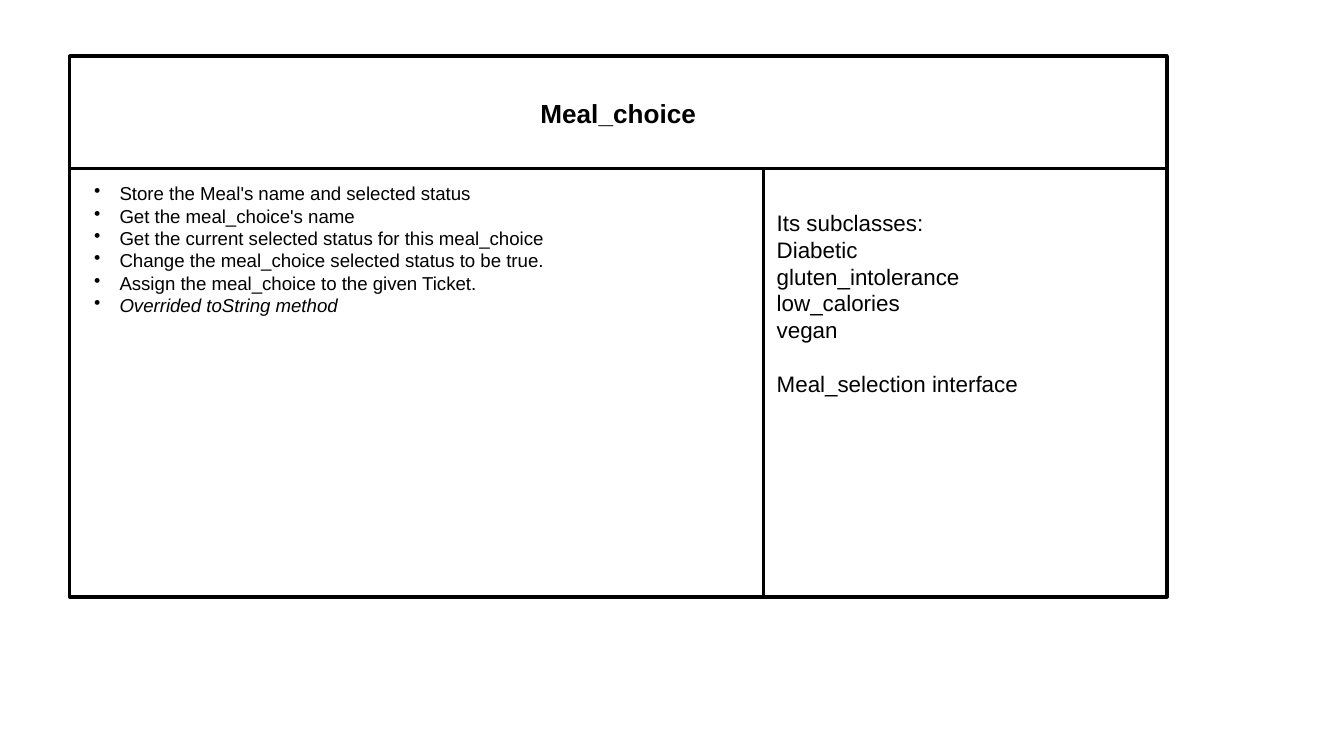
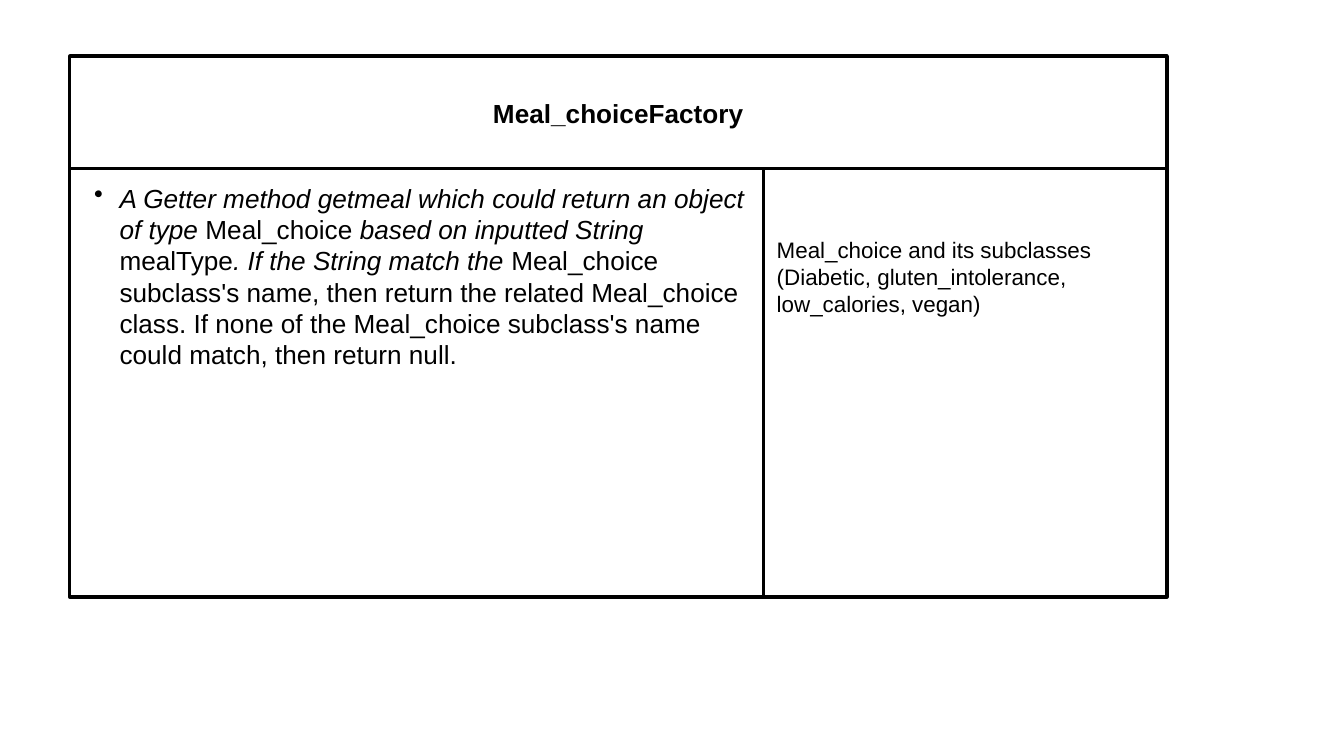
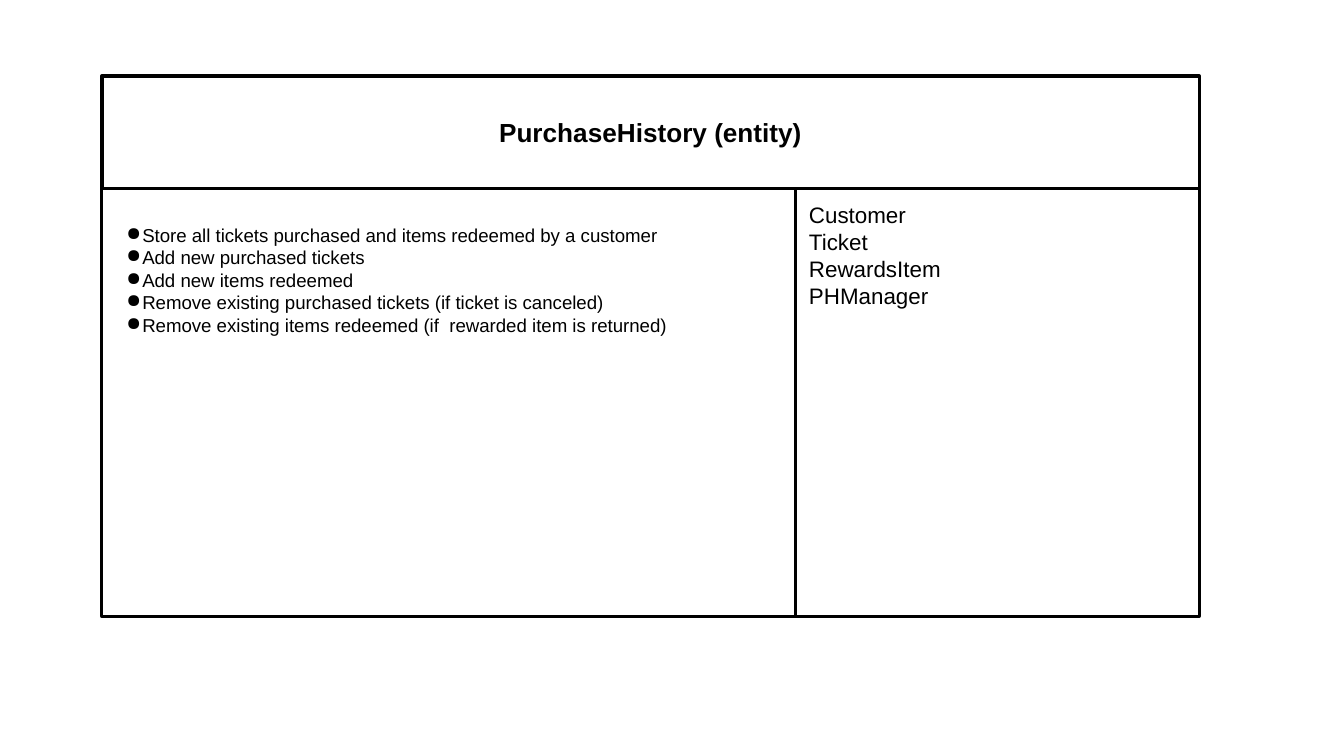
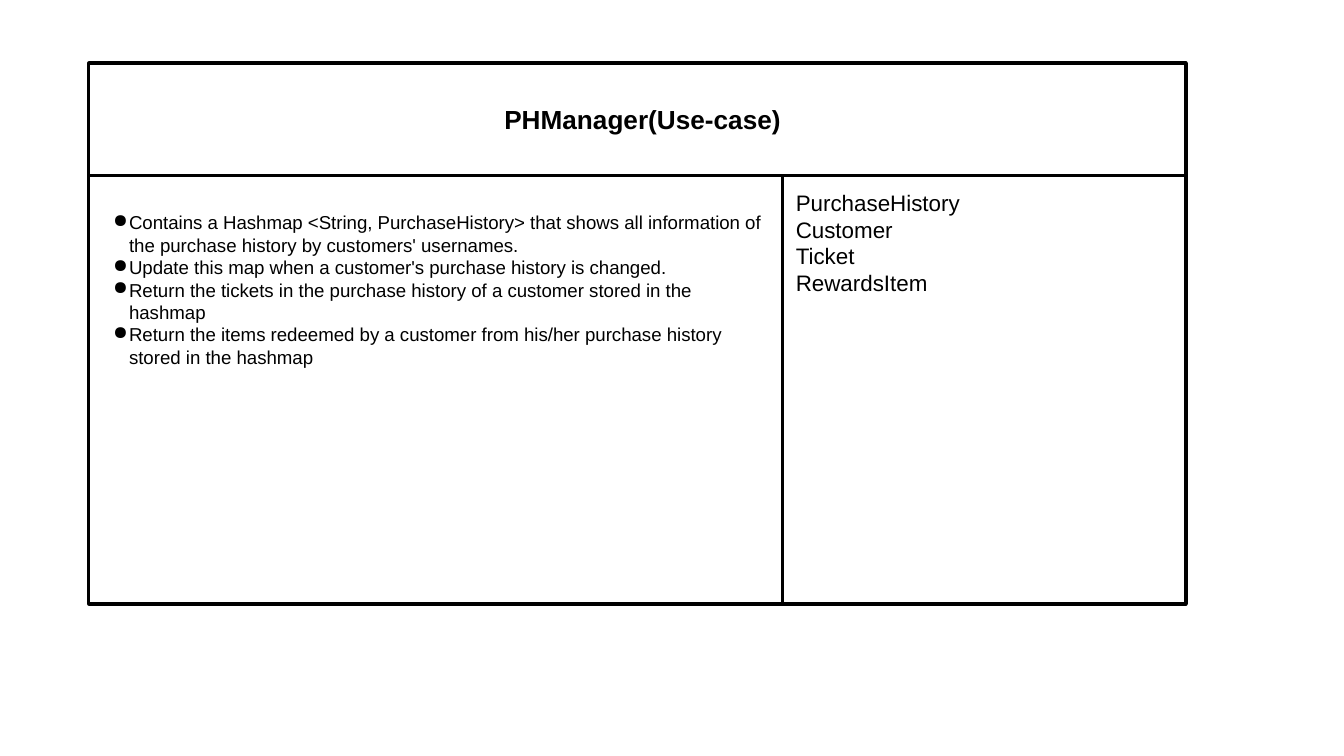
from dataclasses import dataclass

from lxml.etree import SubElement
from pptx import Presentation
from pptx.dml.color import RGBColor
from pptx.enum.shapes import MSO_SHAPE
from pptx.enum.text import MSO_ANCHOR, MSO_AUTO_SIZE, PP_ALIGN
from pptx.oxml.ns import qn
from pptx.util import Cm, Pt

COLORS = {"ink": "000000", "paper": "FFFFFF"}
FONT = "Arial"
CARD_WIDTH, HEADER_HEIGHT, BODY_HEIGHT = 20.73, 2.12, 8.09
DUTIES_WIDTH = 13.11
INSET = 0.25
LINE_10, LINE_12 = 0.42, 0.51


@dataclass(frozen=True)
class Run:
    text: str
    italic: bool = False


@dataclass(frozen=True)
class Bullet:
    char: str
    margin: float
    hanging: float


@dataclass(frozen=True)
class Item:
    runs: tuple[Run, ...]
    space_before: float = 0


@dataclass(frozen=True)
class Column:
    items: tuple[Item, ...]
    size: float = 12
    bullet: Bullet | None = None
    top_gap: float = 0


@dataclass(frozen=True)
class Card:
    left: float
    top: float
    title: str
    duties: Column
    partners: Column
    title_margin: float = 0


def items(*texts: str) -> tuple[Item, ...]:
    return tuple(Item((Run(text),)) for text in texts)


SMALL_DOT = Bullet("•", 0.69, 0.48)
LARGE_DOT = Bullet("●", 0.51, 0.3)

CARDS = (
    Card(
        1.32, 1.07, "Meal_choice",
        Column(
            items(
                "Store the Meal's name and selected status",
                "Get the meal_choice's name",
                "Get the current selected status for this meal_choice",
                "Change the meal_choice selected status to be true.",
                "Assign the meal_choice to the given Ticket.",
            ) + (Item((Run("Overrided toString method", True),)),),
            10, SMALL_DOT,
        ),
        Column(
            items("Its subclasses:", "Diabetic", "gluten_intolerance", "low_calories", "vegan")
            + (Item((Run("Meal_selection interface"),), LINE_12),),
            top_gap=LINE_12,
        ),
    ),
    Card(
        1.32, 1.07, "Meal_choiceFactory",
        Column(
            (Item((
                Run("A Getter method getmeal which could return an object of type ", True),
                Run("Meal_choice "),
                Run("based on inputted String ", True),
                Run("mealType"),
                Run(". If the String match the ", True),
                Run("Meal_choice subclass's name, then return the related Meal_choice class. "
                    "If none of the Meal_choice subclass's name could match, then return null."),
            )),),
            14, SMALL_DOT,
        ),
        Column(
            items("Meal_choice and its subclasses (Diabetic, gluten_intolerance,",
                  "low_calories, vegan)"),
            top_gap=2 * LINE_12,
        ),
    ),
    Card(
        1.93, 1.44, "PurchaseHistory (entity)",
        Column(
            items(
                "Store all tickets purchased and items redeemed by a customer",
                "Add new purchased tickets",
                "Add new items redeemed",
                "Remove existing purchased tickets (if ticket is canceled)",
                "Remove existing items redeemed (if  rewarded item is returned)",
            ),
            10, LARGE_DOT, LINE_10,
        ),
        Column(items("Customer", "Ticket", "RewardsItem", "PHManager")),
    ),
    Card(
        1.68, 1.2, "PHManager(Use-case)",
        Column(
            items(
                "Contains a Hashmap <String, PurchaseHistory> that shows all information of "
                "the purchase history by customers' usernames.",
                "Update this map when a customer's purchase history is changed.",
                "Return the tickets in the purchase history of a customer stored in the hashmap",
                "Return the items redeemed by a customer from his/her purchase history "
                "stored in the hashmap",
            ),
            10, LARGE_DOT, LINE_10,
        ),
        Column(items("PurchaseHistory", "Customer", "Ticket", "RewardsItem")),
        0.2,
    ),
)


def color(name: str) -> RGBColor:
    return RGBColor.from_string(COLORS[name])


def style_box(shape, line_width: float, top_gap: float = 0) -> None:
    shape.fill.solid()
    shape.fill.fore_color.rgb = color("paper")
    shape.line.color.rgb = color("ink")
    shape.line.width = Pt(line_width)
    frame = shape.text_frame
    frame.word_wrap = True
    frame.auto_size = MSO_AUTO_SIZE.NONE
    frame.margin_left = frame.margin_right = frame.margin_bottom = Cm(INSET)
    frame.margin_top = Cm(INSET + top_gap)


def add_box(slide, left: float, top: float, width: float, height: float,
            line_width: float = 1.5, top_gap: float = 0):
    shape = slide.shapes.add_shape(
        MSO_SHAPE.RECTANGLE, Cm(left), Cm(top), Cm(width), Cm(height))
    shape.shadow.inherit = False
    style_box(shape, line_width, top_gap)
    return shape


def style_font(paragraph, size: float, bold: bool = False) -> None:
    font = paragraph.font
    font.name, font.size, font.bold = FONT, Pt(size), bold
    font.color.rgb = color("ink")


def add_bullet(paragraph, bullet: Bullet) -> None:
    properties = paragraph._p.get_or_add_pPr()
    properties.set("marL", str(Cm(bullet.margin)))
    properties.set("indent", str(-Cm(bullet.hanging)))
    bullet_color = SubElement(properties, qn("a:buClr"))
    SubElement(bullet_color, qn("a:srgbClr"), val=COLORS["ink"])
    SubElement(properties, qn("a:buChar"), char=bullet.char)


def add_column(slide, column: Column, left: float, top: float, width: float) -> None:
    shape = add_box(slide, left, top, width, BODY_HEIGHT, top_gap=column.top_gap)
    frame = shape.text_frame
    frame.vertical_anchor = MSO_ANCHOR.TOP
    for index, item in enumerate(column.items):
        paragraph = frame.add_paragraph() if index else frame.paragraphs[0]
        paragraph.alignment = PP_ALIGN.LEFT
        if item.space_before:
            paragraph.space_before = Cm(item.space_before)
        if column.bullet:
            add_bullet(paragraph, column.bullet)
        style_font(paragraph, column.size)
        for part in item.runs:
            run = paragraph.add_run()
            run.text = part.text
            if len(item.runs) > 1:
                run.font.italic = part.italic
        if len(item.runs) == 1:
            paragraph.font.italic = item.runs[0].italic


def place_title(slide, card: Card) -> None:
    title = slide.shapes.title
    title.left, title.top = Cm(card.left), Cm(card.top)
    title.width, title.height = Cm(CARD_WIDTH), Cm(HEADER_HEIGHT)
    style_box(title, 1.5)
    title.text_frame.vertical_anchor = MSO_ANCHOR.MIDDLE
    title.text_frame.text = card.title
    paragraph = title.text_frame.paragraphs[0]
    paragraph.alignment = PP_ALIGN.CENTER
    if card.title_margin:
        paragraph._p.get_or_add_pPr().set("marL", str(Cm(card.title_margin)))
    style_font(paragraph, 14, bold=True)


def add_card(slide, card: Card) -> None:
    outline = add_box(slide, card.left, card.top, CARD_WIDTH,
                      HEADER_HEIGHT + BODY_HEIGHT, 2.25)
    slide.shapes.title._element.addprevious(outline._element)
    place_title(slide, card)
    body_top = card.top + HEADER_HEIGHT
    add_column(slide, card.duties, card.left, body_top, DUTIES_WIDTH)
    add_column(slide, card.partners, card.left + DUTIES_WIDTH, body_top,
               CARD_WIDTH - DUTIES_WIDTH)


def main() -> None:
    presentation = Presentation()
    presentation.slide_width, presentation.slide_height = Cm(25.4), Cm(14.29)
    title_only = presentation.slide_layouts.get_by_name("Title Only")
    for card in CARDS:
        add_card(presentation.slides.add_slide(title_only), card)
    presentation.save("out.pptx")


if __name__ == "__main__":
    main()
